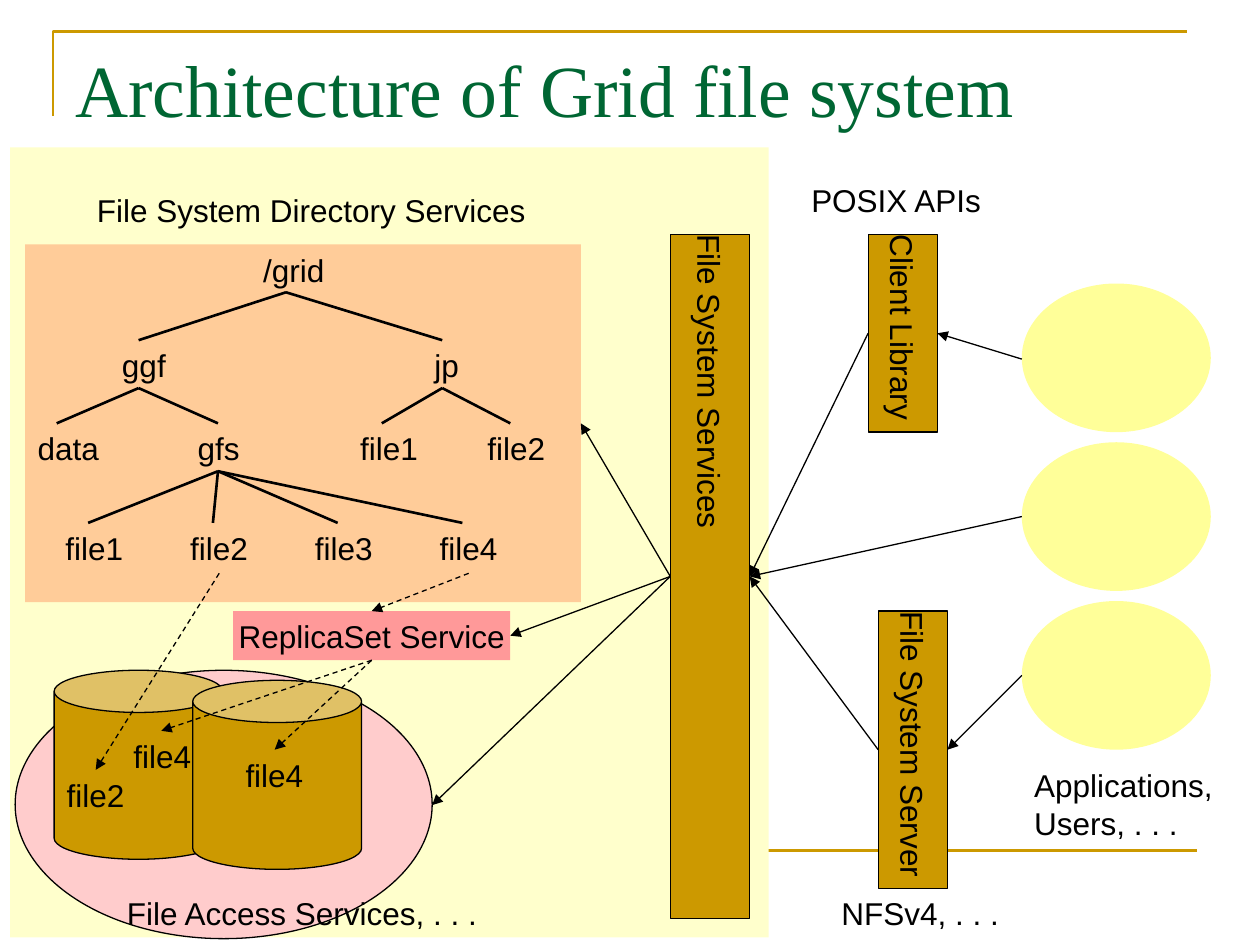
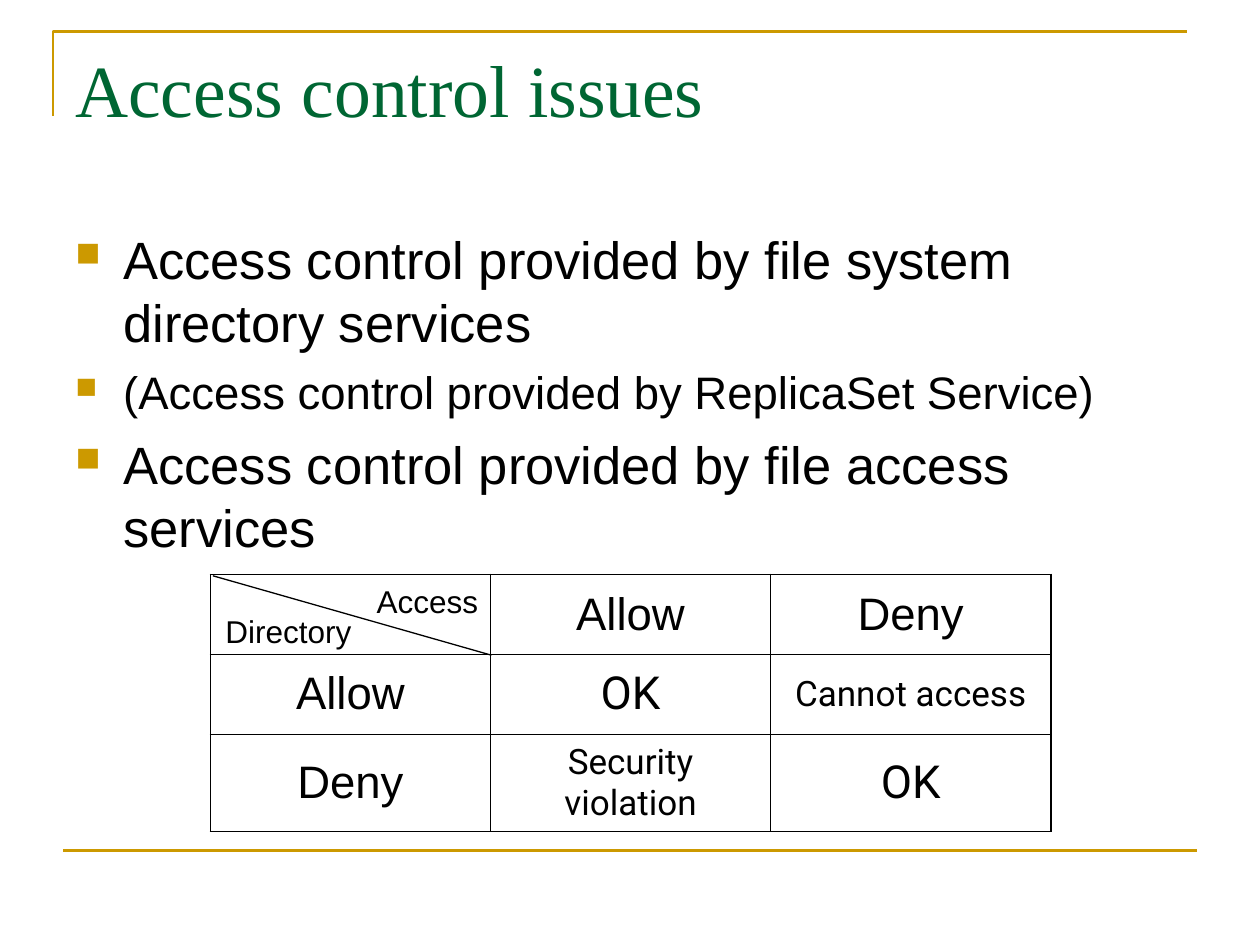
from lxml.etree import SubElement
from pptx import Presentation
from pptx.dml.color import RGBColor as Rgb
from pptx.enum.dml import MSO_LINE as Dash
from pptx.enum.shapes import MSO_CONNECTOR as Conn, MSO_SHAPE as Kind
from pptx.enum.text import MSO_ANCHOR as Anchor, PP_ALIGN as Align
from pptx.oxml.ns import qn
from pptx.util import Inches, Pt

COLORS = {
    "gold": "CC9900", "green": "006633", "black": "000000",
    "cream": "FFFFCC", "pink": "FFCCCC", "peach": "FFCC99",
    "rose": "FF9999", "lemon": "FFFF99",
}
SANS, SERIF, ROBOTO = "Arial", "Times New Roman", "Roboto"
SLACK = 0.15  # spare label width, so that no word breaks

# key: shape, left, top, width, height, fill, outlined
SHAPES = {
    "zone": (Kind.RECTANGLE, 0.08, 1.17, 6.02, 6.27, "cream", False),
    "access": (Kind.OVAL, 0.12, 5.32, 3.31, 2.13, "pink", True),
    "disk1": (Kind.CAN, 0.43, 5.32, 1.34, 1.5, "gold", True),
    "disk2": (Kind.CAN, 1.53, 5.4, 1.34, 1.5, "gold", True),
    "tree": (Kind.RECTANGLE, 0.2, 1.94, 4.41, 2.84, "peach", False),
    "service": (Kind.RECTANGLE, 5.32, 1.86, 0.63, 5.43, "gold", True),
    "client": (Kind.RECTANGLE, 6.89, 1.86, 0.55, 1.57, "gold", True),
    "server": (Kind.RECTANGLE, 6.97, 4.85, 0.55, 2.2, "gold", True),
    "replica": (Kind.RECTANGLE, 1.85, 4.85, 2.2, 0.39, "rose", False),
}
for num in range(3):
    SHAPES[f"app{num + 1}"] = (Kind.OVAL, 8.11, 2.25 + 1.26 * num, 1.5, 1.18, "lemon", False)

# key: text, upright (turned a quarter)
CAPTIONS = {
    "service": ("File System Services", True),
    "client": ("Client Library", True),
    "server": ("File System Server", True),
    "replica": ("ReplicaSet Service", False),
}

# text, left, top, width
LABELS = [
    ("File System Directory Services", 0.67, 1.47, 3.6),
    ("File Access Services, . . .", 0.91, 7.05, 2.99),
    ("file4", 1.85, 5.95, 0.66),
    ("file4", 0.96, 5.8, 0.66),
    ("file2", 0.43, 6.11, 0.66),
    ("Applications,\nUsers, . . .", 8.11, 6.03, 1.61),
    ("NFSv4, . . .", 6.58, 7.05, 1.45),
    ("POSIX APIs", 6.34, 1.39, 1.56),
]

# key: text, left, width, x of the branch tip, level, parent
NODES = {
    "grid": ("/grid", 1.99, 0.68, 2.27, 0, None),
    "ggf": ("ggf", 0.87, 0.55, 1.1, 1, "grid"),
    "jp": ("jp", 3.35, 0.39, 3.51, 1, "grid"),
    "data": ("data", 0.2, 0.68, 0.45, 2, "ggf"),
    "gfs": ("gfs", 1.47, 0.53, 1.73, 2, "ggf"),
    "jp1": ("file1", 2.76, 0.66, 3.03, 2, "jp"),
    "jp2": ("file2", 3.77, 0.66, 4.05, 2, "jp"),
}
for num in range(4):
    left = 0.42 + 0.99 * num
    NODES[f"gfs{num + 1}"] = (f"file{num + 1}", left, 0.66, left + 0.28, 3, "gfs")
LEVELS = [1.94, 2.7, 3.36, 4.15]

# Ends are points or (shape key, side)
TOP, LEFT, BOTTOM, RIGHT = range(4)
LINKS = [
    (("service", LEFT), ("tree", RIGHT), False),
    (("service", LEFT), (3.43, 6.39), False),
    (("service", LEFT), ("replica", RIGHT), False),
    (("client", LEFT), ("service", RIGHT), False),
    (("server", LEFT), ("service", RIGHT), False),
    ((8.11, 2.85), ("client", RIGHT), False),
    ((8.11, 4.1), ("service", RIGHT), False),
    ((8.11, 5.36), ("server", RIGHT), False),
    (("replica", BOTTOM), (2.18, 5.95), True),
    (("replica", BOTTOM), (1.28, 5.8), True),
    ((3.72, 4.55), ("replica", TOP), True),
    ((1.74, 4.55), (0.76, 6.11), True),
]

POINTS = [
    ("Access control provided by file system directory services", 30, 0),
    ("(Access control provided by ReplicaSet Service)", 26, 6.5),
    ("Access control provided by file access services", 30, 7.5),
]
# text, size, font
GRID = [
    [None, ("Allow", 26, SANS), ("Deny", 26, SANS)],
    [("Allow", 26, SANS), ("OK", 26, ROBOTO), ("Cannot access", 20, ROBOTO)],
    [("Deny", 26, SANS), ("Security violation", 20, ROBOTO), ("OK", 26, ROBOTO)],
]
ROWS = [0.63, 0.64, 0.77]
CORNER = [("Directory", 1.69, 4.81, 1.2), ("Access", 2.89, 4.57, 1)]


def ink(name):
    return Rgb.from_string(COLORS[name])


def style(para, size=18, face=SANS, color="black"):
    for key, val in {"size": Pt(size), "name": face}.items():
        setattr(para.font, key, val)
    para.font.color.rgb = ink(color)


def stroke(line, color="black", width=0.75):
    line.color.rgb = ink(color)
    line.width = Pt(width)


def text_box(slide, text, x, y, w, h=0.4, **look):
    frame = slide.shapes.add_textbox(*map(Inches, (x, y, w, h))).text_frame
    frame.word_wrap = True
    frame.text = text
    for para in frame.paragraphs:
        style(para, **look)
    return frame


def add_label(slide, text, x, y, w):
    high = 0.4 + 0.3 * text.count("\n")
    text_box(slide, text, x, y, w + SLACK, high)


def draw_line(slide, start, end, color="black", width=0.75):
    line = slide.shapes.add_connector(Conn.STRAIGHT, *map(Inches, start + end))
    stroke(line.line, color, width)
    SubElement(line._element.spPr, qn("a:effectLst"))
    return line


def new_slide(deck):
    slide = deck.slides.add_slide(deck.slide_layouts[6])
    pen = slide.shapes.build_freeform(Inches(0.42), Inches(0.92), 1)
    pen.add_line_segments([(Inches(0.42), Inches(0.25)), (Inches(9.42), Inches(0.25))], False)
    frame = pen.convert_to_shape()
    frame.shadow.inherit = False
    frame.fill.background()
    stroke(frame.line, "gold", 1.5)
    draw_line(slide, (0.5, 6.75), (9.5, 6.75), "gold", 1.5)
    return slide


def add_title(slide, text):
    text_box(slide, text, 0.5, 0.3, 9, 1.25, size=42, face=SERIF, color="green")


def draw_shape(slide, kind, x, y, w, h, fill, edge):
    shape = slide.shapes.add_shape(kind, *map(Inches, (x, y, w, h)))
    shape.shadow.inherit = False
    shape.fill.solid()
    shape.fill.fore_color.rgb = ink(fill)
    if edge:
        stroke(shape.line)
    else:
        shape.line.fill.background()
    return shape


def caption(shape, text, upright):
    frame = shape.text_frame
    frame.text = text
    look = {"word_wrap": True, "vertical_anchor": Anchor.MIDDLE}
    for side in ("left", "top", "right", "bottom"):
        look[f"margin_{side}"] = 0
    for key, val in look.items():
        setattr(frame, key, val)
    if upright:
        frame._txBody.bodyPr.set("vert", "eaVert")
    frame.paragraphs[0].alignment = Align.CENTER
    style(frame.paragraphs[0])


def draw_tree(slide):
    for text, x, w, tip, level, parent in NODES.values():
        top = LEVELS[level]
        add_label(slide, text, x, top, w)
        if parent:
            fork, above = NODES[parent][3:5]
            draw_line(slide, (fork, LEVELS[above] + 0.38), (tip, top), width=1.5)


def draw_link(slide, shapes, start, end, dashed):
    ends = [(0, 0) if tip[0] in shapes else tip for tip in (start, end)]
    line = draw_line(slide, *ends)
    for tip, join in ((start, line.begin_connect), (end, line.end_connect)):
        if tip[0] in shapes:
            join(shapes[tip[0]], tip[1])
    if dashed:
        line.line.dash_style = Dash.DASH
    SubElement(line.line._get_or_add_ln(), qn("a:tailEnd"), type="triangle")


def architecture(deck):
    slide = new_slide(deck)
    shapes = {key: draw_shape(slide, *spec) for key, spec in SHAPES.items()}
    for key, words in CAPTIONS.items():
        caption(shapes[key], *words)
    add_title(slide, "Architecture of Grid file system")
    draw_tree(slide)
    for label in LABELS:
        add_label(slide, *label)
    for link in LINKS:
        draw_link(slide, shapes, *link)


def add_bullets(slide):
    frame = text_box(slide, "\n".join(text for text, _, _ in POINTS), 0.5, 1.75, 9, 4.95)
    for para, (_, size, gap) in zip(frame.paragraphs, POINTS):
        para.space_before = Pt(gap)
        props = para._p.get_or_add_pPr()
        props.set("marL", str(Inches(0.38)))
        props.set("indent", str(-Inches(0.38)))
        tint = SubElement(props, qn("a:buClr"))
        SubElement(tint, qn("a:srgbClr"), val=COLORS["gold"])
        SubElement(props, qn("a:buSzPct"), val="65000")
        SubElement(props, qn("a:buChar"), char="■")
        style(para, size)


def set_borders(cell, row, col):
    """Thick on the outside of the table, thin inside."""
    outer = {"L": col == 0, "R": col == 2, "T": row == 0, "B": row == 2}
    for side, thick in outer.items():
        edge = SubElement(cell._tc.get_or_add_tcPr(), qn(f"a:ln{side}"),
                          w=str(Pt(1.08 if thick else 0.45)))
        fill = SubElement(edge, qn("a:solidFill"))
        SubElement(fill, qn("a:srgbClr"), val=COLORS["black"])


def add_matrix(slide):
    box = map(Inches, (1.67, 4.56, 6.67, sum(ROWS)))
    table = slide.shapes.add_table(3, 3, *box).table
    table.first_row = table.horz_banding = False
    for row, high in zip(table.rows, ROWS):
        row.height = Inches(high)
    for row, items in enumerate(GRID):
        for col, item in enumerate(items):
            cell = table.cell(row, col)
            set_borders(cell, row, col)
            cell.fill.background()
            cell.vertical_anchor = Anchor.MIDDLE
            if item:
                cell.text, size, face = item
                para = cell.text_frame.paragraphs[0]
                para.alignment = Align.CENTER
                style(para, size, face)


def access_control(deck):
    slide = new_slide(deck)
    add_title(slide, "Access control issues")
    add_bullets(slide)
    add_matrix(slide)
    for label in CORNER:
        add_label(slide, *label)
    draw_line(slide, (1.69, 4.57), (3.9, 5.2))


def main():
    deck = Presentation()
    deck.slide_width, deck.slide_height = Inches(10), Inches(7.5)
    architecture(deck)
    access_control(deck)
    deck.save("out.pptx")


if __name__ == "__main__":
    main()
